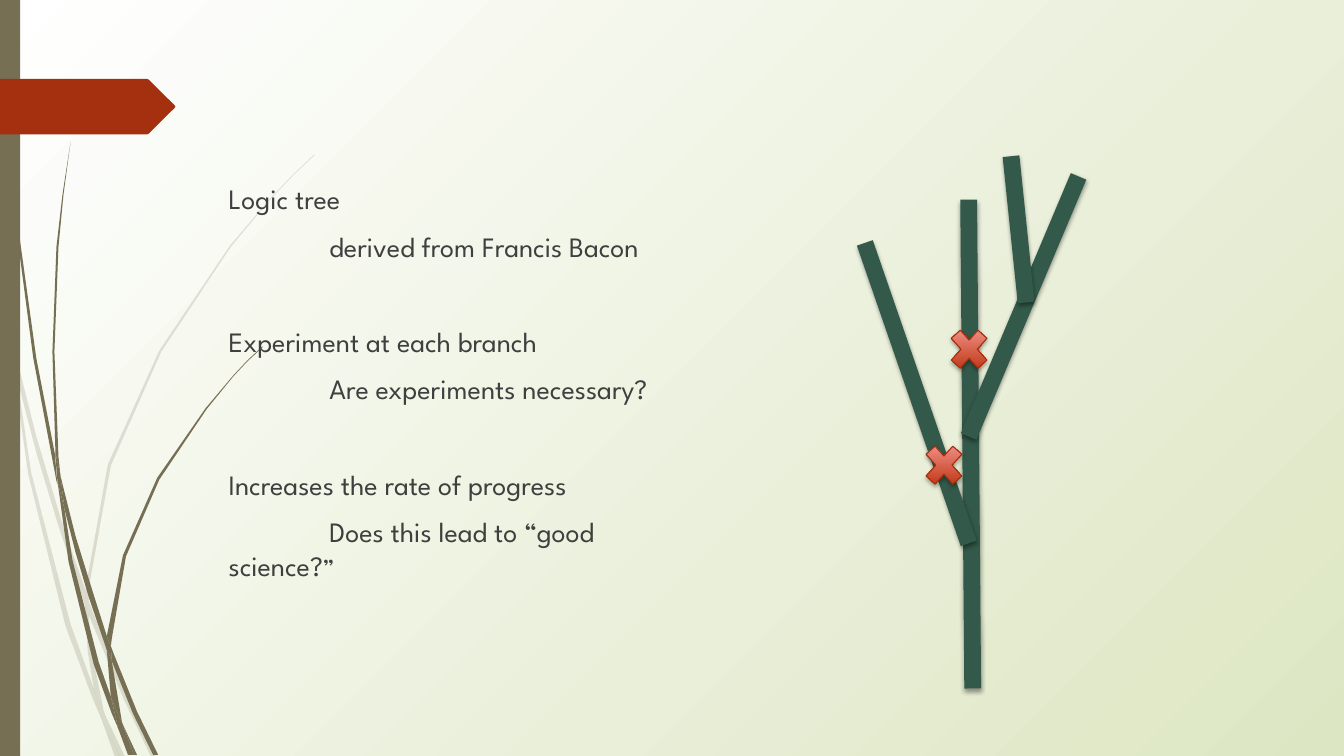
from lxml import etree
from pptx import Presentation
from pptx.dml.color import RGBColor
from pptx.enum.shapes import MSO_CONNECTOR, MSO_SHAPE
from pptx.enum.text import MSO_ANCHOR, PP_ALIGN
from pptx.oxml.ns import qn
from pptx.util import Pt

RECT, CROSS = MSO_SHAPE.RECTANGLE, MSO_SHAPE.MATH_MULTIPLY
STRAIGHT = MSO_CONNECTOR.STRAIGHT
TOP, LEFT = MSO_ANCHOR.TOP, PP_ALIGN.LEFT
FONT = "League Spartan"
COLORS = {
    "white": "FFFFFF", "pale": "DDE6C3", "stem": "766F54", "banner": "A53010",
    "text": "3F3F3F", "branch": "325949", "cross_dark": "B52700",
    "cross_light": "FAA09B", "cross_line": "A52D0C", "shadow": "000000",
}
STEM_UNIT = 0.72

FAINT_STEMS = [
    "11 350 9 322 0 282 0 299 10 344",
    "58 522 84 599 85 586 62 520 36 433 14 345 17 376 36 449",
    "92 607 88 596 88 610 123 694 150 751 155 751 127 692",
    "119 751 124 751 105 711",
    "93 683 70 619 31 469 17 376 11 350 28 470 65 621 92 693 101 714 99 707",
    "84 599 87 646 93 683 96 692 105 711 103 706 91 646 88 610 88 608",
    "88 584 110 462 160 349 229 245 268 198 290 175 312 154 312 153 289 175 268 197 "
    "228 244 158 348 107 461 85 584 85 586 88 596",
    "101 714 114 751 119 751",
    "88 608 88 610 88 596 85 586 84 599",
    "96 692 93 683 99 707 101 714 119 751 105 711",
]
SOLID_STEMS = [
    "7 110 17 233 33 355 56 477 57 481 55 457 55 453 36 355 19 232 8 109 5 48 4 0 3 0 4 48",
    "88 592 106 645 106 633 106 631 93 590 75 532 60 472 64 505 75 548",
    "113 649 110 641 111 656 132 708 152 749 157 749 136 706",
    "110 691 98 657 72 556 64 505 57 477 68 557 93 659 111 708 117 722 116 717",
    "60 472 58 453 54 349 58 245 63 193 70 141 62 193 56 245 52 349 55 449",
    "133 749 136 749 122 719",
    "57 477 64 505 60 472 55 449 55 453",
    "111 633 125 552 158 476 205 406 231 374 245 359 261 344 260 344 245 358 231 373 "
    "204 405 156 474 122 551 106 631 110 641",
    "117 722 127 749 131 749",
    "106 645 110 691 116 706 122 719 121 716 111 656 109 651",
    "106 645 109 651 111 656 110 641 106 631 106 633",
    "116 706 110 691 116 717 117 722 130 749 133 749 122 719",
]
NOTES = [
    ("Logic tree", 0, 10),
    ("derived from Francis Bacon", 72, 10),
    ("Experiment at each branch", 0, 44),
    ("Are experiments necessary?", 72, 10),
    ("Increases the rate of progress", 0, 44),
    ("Does this lead to “good science?", 72, 10),
]
BRANCHES = [
    (77.04, 380.16, 74.16, 30.96), (74.16, 276.48, 0, 61.92),
    (74.16, 200.16, 152.64, 14.4), (115.2, 104.4, 104.4, 0),
]
CROSSES = [(38.16, 200.16), (56.16, 117.36)]


def rgb(name):
    return RGBColor.from_string(COLORS[name])


def paint(sp, color, alpha=None):
    sp.shadow.inherit = False
    sp.fill.solid()
    sp.fill.fore_color.rgb = rgb(color)
    sp.line.fill.background()
    if alpha:
        clr = sp._element.spPr.find(qn("a:solidFill")).find(qn("a:srgbClr"))
        etree.SubElement(clr, qn("a:alpha"), val=str(alpha * 1000))


def gradient(fill, *colors):
    fill.gradient()
    for stop, color in zip(fill.gradient_stops, colors):
        stop.color.rgb = rgb(color)


def cast_shadow(effects, alpha, dist):
    shadow = etree.SubElement(effects, qn("a:outerShdw"), blurRad=str(Pt(3.1)),
                              dist=str(Pt(dist)), dir="5400000", rotWithShape="0")
    clr = etree.SubElement(shadow, qn("a:srgbClr"), val=COLORS["shadow"])
    etree.SubElement(clr, qn("a:alpha"), val=str(alpha * 1000))


def add_text(p, text, size=20, color="text", font=FONT):
    r = p.add_run()
    r.text = text
    r.font.size, r.font.name = Pt(size), font
    r.font.color.rgb = rgb(color)


def add_outline(shapes, points, color, alpha=None):
    points = [(Pt(x), Pt(y)) for x, y in points]
    builder = shapes.build_freeform(*points[0], scale=1.0)
    builder.add_line_segments(points[1:], close=True)
    paint(builder.convert_to_shape(), color, alpha)


def add_stems(s, x, y):
    for stems, alpha in ((FAINT_STEMS, 20), (SOLID_STEMS, None)):
        group = s.shapes.add_group_shape()
        for stem in stems:
            values = [int(v) * STEM_UNIT for v in stem.split()]
            points = [(x + dx, y + dy) for dx, dy in zip(values[::2], values[1::2])]
            add_outline(group.shapes, points, "stem", alpha)


def add_edge(s, x, y, w, h):
    paint(s.shapes.add_shape(RECT, Pt(x), Pt(y), Pt(w), Pt(h)), "stem")


def add_banner(s, x, y, w, h):
    mid, neck = y + h / 2, x + w - 19
    add_outline(s.shapes, [(x, y), (neck - 1.4, y), (neck, y + 0.6), (x + w - 0.6, mid - 1),
                           (x + w, mid), (x + w - 0.6, mid + 1), (neck, y + h - 0.6),
                           (neck - 1.4, y + h), (x, y + h)], "banner")


def add_notes(s, x, y, w, h):
    tf = s.shapes.add_textbox(Pt(x), Pt(y), Pt(w), Pt(h)).text_frame
    tf.word_wrap, tf.vertical_anchor = True, TOP
    for i, (text, indent, before) in enumerate(NOTES):
        p = tf.add_paragraph() if i else tf.paragraphs[0]
        p.alignment, p.space_before = LEFT, Pt(before)
        p._p.get_or_add_pPr().set("indent", str(Pt(indent)))
        add_text(p, text)
    add_text(p, "”", size=18)


def add_tree(s, x, y):
    for x1, y1, x2, y2 in BRANCHES:
        branch = s.shapes.add_connector(STRAIGHT, Pt(x + x1), Pt(y + y1), Pt(x + x2), Pt(y + y2))
        branch.line.width = Pt(12)
        branch.line.color.rgb = rgb("branch")
        cast_shadow(etree.SubElement(branch._element.spPr, qn("a:effectLst")), 38, 1.6)
    for dx, dy in CROSSES:
        sp = s.shapes.add_shape(CROSS, Pt(x + dx), Pt(y + dy), Pt(36.72), Pt(41.04))
        sp.shadow.inherit = False
        gradient(sp.fill, "cross_dark", "cross_light")
        sp.fill.gradient_angle = 90
        sp.line.width = Pt(0.75)
        sp.line.color.rgb = rgb("cross_line")
        cast_shadow(sp._element.spPr.find(qn("a:effectLst")), 35, 1.8)


def add_background(s):
    gradient(s.background.fill, "white", "pale")
    lin = s._element.find(".//" + qn("a:lin"))
    grad = lin.getparent()
    grad.remove(lin)
    radial = etree.SubElement(grad, qn("a:path"), path="circle")
    etree.SubElement(radial, qn("a:fillToRect"), r="100000", b="100000")


def main():
    prs = Presentation()
    prs.slide_width, prs.slide_height = Pt(960), Pt(540)
    s = prs.slides.add_slide(prs.slide_layouts[6])
    add_background(s)
    add_stems(s, 0, 0)
    add_edge(s, 0, 0, 14.4, 540)
    add_banner(s, 0, 56.3, 125.3, 39.8)
    add_notes(s, 156.24, 126, 324, 356.4)
    add_tree(s, 617.76, 111.6)
    prs.save("out.pptx")


if __name__ == "__main__":
    main()
